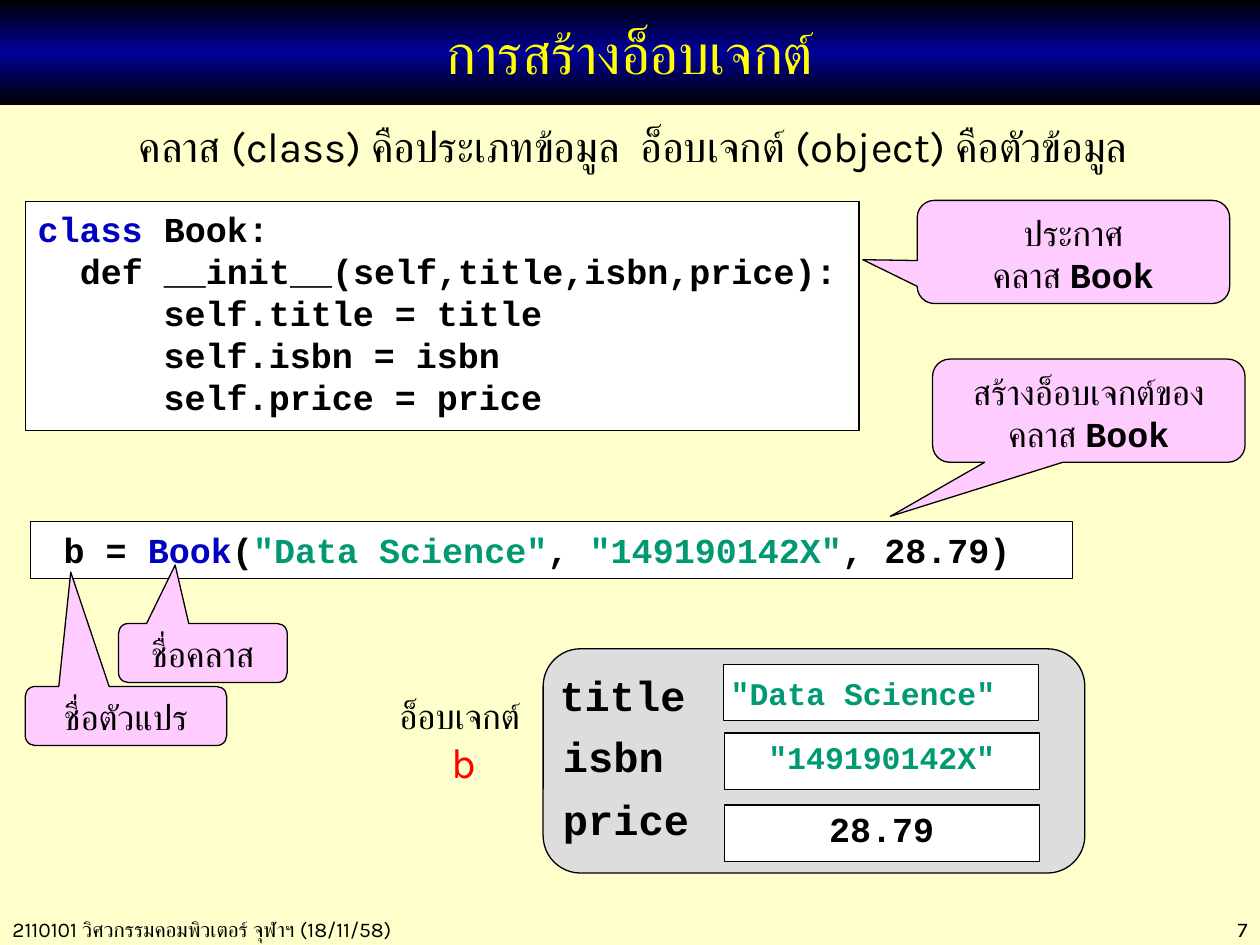
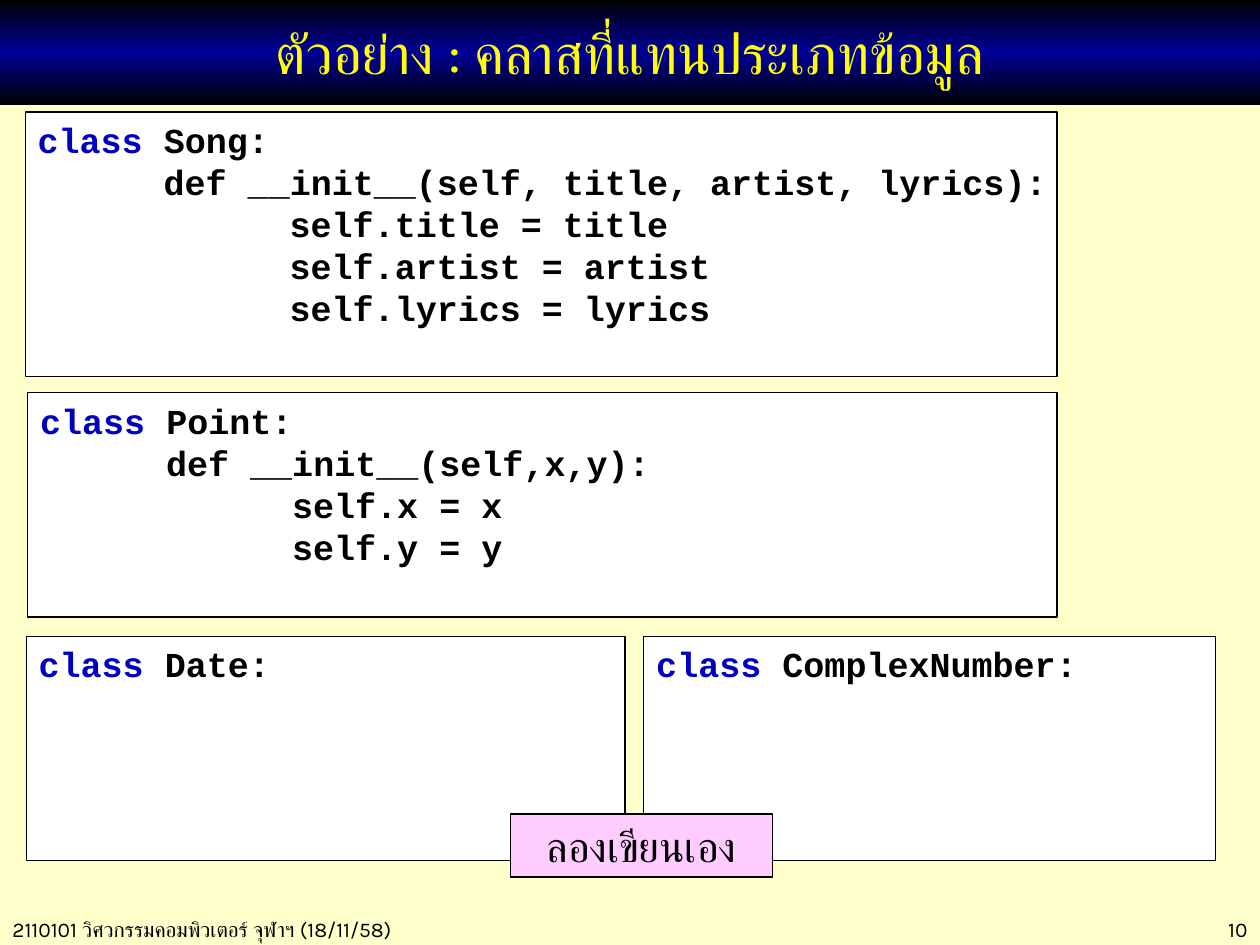
from copy import deepcopy
from dataclasses import dataclass

from pptx import Presentation
from pptx import util as u
from pptx.dml.color import RGBColor
from pptx.enum import shapes, text
from pptx.oxml.ns import qn

Kind = shapes.MSO_SHAPE
Align = text.PP_ALIGN
Anchor = text.MSO_ANCHOR


@dataclass(frozen=True)
class Theme:
    """Colours, fonts and type sizes of the deck."""
    paper: str = "FFFFCC"
    white: str = "FFFFFF"
    ink: str = "000000"
    navy: str = "000099"
    gold: str = "FFFF00"
    pink: str = "FFCCFF"
    grey: str = "DDDDDD"
    red: str = "FF0000"
    key: str = "0000C0"
    quote: str = "009973"
    sans: str = "Karla"
    mono: str = "Courier New"
    head: int = 32
    lead: int = 24
    body: int = 20
    value: int = 18
    foot: int = 12


T = Theme()
FOOT = "2110101 วิศวกรรมคอมพิวเตอร์ จุฬาฯ (18/11/58)"
KEY = {"color": T.key}
QUOTE = {"color": T.quote}
BOLD = {"bold": True}


def rgb(code):
    """Turn a hex code into a colour."""
    return RGBColor.from_string(code)


def write(shape, lines, font=T.mono, size=T.body, color=T.ink, bold=False,
          align=Align.LEFT, anchor=Anchor.TOP, pad=(0.25, 0.13, 0.25, 0.13),
          space=None, dents=()):
    """Fill a shape with lines; a line is a string or a list of runs,
    and a run is a string or a pair of string and format."""
    frame = shape.text_frame
    frame.word_wrap = True
    frame.vertical_anchor = anchor
    (frame.margin_left, frame.margin_top,
     frame.margin_right, frame.margin_bottom) = map(u.Cm, pad)
    for i, line in enumerate(lines):
        para = frame.paragraphs[0] if i == 0 else frame.add_paragraph()
        para.alignment = align
        if space:
            para.line_spacing = space
        if dents:
            props = para._p.get_or_add_pPr()
            props.set("marL", str(int(u.Cm(dents[i]))))
            props.set("indent", "0")
        for part in [line] if isinstance(line, str) else line:
            words, own = (part, {}) if isinstance(part, str) else part
            run = para.add_run()
            run.text = words
            look = {"font": font, "size": size, "color": color,
                    "bold": bold, **own}
            run.font.name = look["font"]
            run.font.size = u.Pt(look["size"])
            run.font.bold = look["bold"]
            run.font.color.rgb = rgb(look["color"])


class Deck:
    """Holds the style and the current slide."""

    def __init__(self):
        """Start an empty deck."""
        self.file = Presentation()
        self.file.slide_width = u.Cm(25.4)
        self.file.slide_height = u.Cm(19.05)
        self.slide = None

    def page(self, title, number):
        """Add a slide with its background, footers and title band."""
        self.slide = self.file.slides.add_slide(self.file.slide_layouts[6])
        fill = self.slide.background.fill
        fill.solid()
        fill.fore_color.rgb = rgb(T.paper)
        foot = {"font": T.sans, "size": T.foot}
        self.label((0, 18.34, 9.91, 0.76), [FOOT], **foot)
        self.label((21.89, 18.34, 3.51, 0.76), [str(number)],
                   align=Align.RIGHT, **foot)
        self.band(title)

    def band(self, title):
        """Draw the title on a black and navy gradient."""
        band = self.shape((0, 0, 25.4, 2.11), T.navy, edge=False)
        band.fill.gradient()
        band.fill.gradient_angle = 90
        stops = band._element.spPr.find(".//" + qn("a:gsLst"))
        stops.append(deepcopy(stops[0]))
        tones = (T.ink, T.navy, T.ink)
        for i, (stop, tone) in enumerate(zip(band.fill.gradient_stops, tones)):
            stop.position = i / 2
            stop.color.rgb = rgb(tone)
        write(band, [title], font=T.sans, size=T.head, color=T.gold,
              align=Align.CENTER, anchor=Anchor.MIDDLE)

    def shape(self, box, fill, kind=Kind.RECTANGLE, adj=(), edge=True):
        """Draw a filled preset shape, with a thin outline or none."""
        form = self.slide.shapes.add_shape(kind, *map(u.Cm, box))
        form.shadow.inherit = False
        for i, value in enumerate(adj):
            form.adjustments[i] = value
        form.fill.solid()
        form.fill.fore_color.rgb = rgb(fill)
        if edge:
            form.line.color.rgb = rgb(T.ink)
            form.line.width = u.Pt(0.75)
        else:
            form.line.fill.background()
        return form

    def label(self, box, lines, **look):
        """Place a plain text box."""
        write(self.slide.shapes.add_textbox(*map(u.Cm, box)), lines, **look)

    def code(self, box, *rows):
        """Draw a white code panel; each row is an indent and its runs."""
        dents, lines = zip(*rows)
        write(self.shape(box, T.white), lines, bold=True, dents=dents,
              pad=(0.25, 0.13, 0, 0.13))

    def callout(self, box, tip, *lines):
        """Draw a pink speech bubble with its tip at a relative point."""
        form = self.shape(box, T.pink, Kind.ROUNDED_RECTANGULAR_CALLOUT,
                          (*tip, 0.167))
        write(form, lines, align=Align.CENTER)

    def field(self, left, top, value, **look):
        """Draw a white box that holds one attribute value."""
        form = self.shape((left, top, 6.35, 1.14), T.white)
        write(form, [value], **{"bold": True, "anchor": Anchor.MIDDLE,
                                "pad": (0, 0.1, 0, 0.1), **look})


def create(deck):
    """Build the slide on creating objects."""
    deck.page("การสร้างอ็อบเจกต์", 7)
    deck.code((0.61, 10.52, 21.01, 1.14),
              (0, [" b = ", ("Book", KEY), "(", ('"Data Science"', QUOTE),
                   ", ", ('"149190142X"', QUOTE), ", 28.79)"]))
    deck.callout((2.39, 12.57, 3.4, 1.19), (-0.164, -1.491), "ชื่อคลาส")
    deck.callout((0.51, 13.84, 4.06, 1.19), (-0.274, -2.439), "ชื่อตัวแปร")
    deck.callout((18.8, 7.24, 6.3, 2.08), (-0.635, 1.024),
                 ["สร้างอ็อบเจกต์ของคลาส ", ("Book", BOLD)])
    deck.label((1.45, 2.29, 22.63, 1.3),
               ["คลาส (class) คือประเภทข้อมูล  อ็อบเจกต์ (object) คือตัวข้อมูล"],
               font=T.sans, size=T.lead, align=Align.CENTER)
    deck.code((0.51, 4.06, 16.81, 4.62),
              (0, [("class", KEY), " Book:"]),
              (0.85, "def __init__(self,title,isbn,price):"),
              *[(2.54, f"self.{name} = {name}")
                for name in ("title", "isbn", "price")])
    deck.callout((18.49, 4.04, 6.3, 2.08), (-0.674, 0.075),
                 "ประกาศ", ["คลาส ", ("Book", BOLD)])

    deck.shape((10.95, 13.08, 10.92, 4.52), T.grey,
               Kind.ROUNDED_RECTANGLE, (0.167,))
    for left, top, name in ((11.28, 13.49, "title"), (11.35, 14.73, "isbn"),
                            (11.35, 16, "price")):
        deck.label((left, top, 3.2, 1.4), [name], size=T.lead, bold=True,
                   pad=(0, 0, 0, 0))
    deck.field(14.58, 13.39, '"Data Science"', size=T.value, color=T.quote,
               pad=(0.15, 0.13, 0, 0.13))
    middle = {"align": Align.CENTER, "space": 0.7}
    deck.field(14.6, 14.78, '"149190142X"', size=T.value, color=T.quote,
               **middle)
    deck.field(14.6, 16.23, "28.79", **middle)
    deck.label((7.59, 13.87, 3.53, 2.13),
               ["อ็อบเจกต์ ",
                [("b", {"font": T.sans, "size": T.lead, "color": T.red})]],
               align=Align.CENTER)


def sample(deck):
    """Build the slide of example classes."""
    deck.page("ตัวอย่าง : คลาสที่แทนประเภทข้อมูล", 10)
    tab = 2.54
    for box, name, args, names in (
            ((0.56, 7.92, 20.75, 4.52), "Point", "x,y", ("x", "y")),
            ((0.51, 2.26, 20.8, 5.33), "Song", " title, artist, lyrics",
             ("title", "artist", "lyrics")),
            ((0.53, 12.83, 12.07, 4.52), "Date", "", ()),
            ((12.98, 12.83, 11.53, 4.52), "ComplexNumber", "", ())):
        rows = [(0, [("class", KEY), f" {name}:"])]
        if names:
            rows.append((tab, f"def __init__(self,{args}):"))
        rows += [(2 * tab, f"self.{item} = {item}") for item in names]
        deck.code(box, *rows)
    note = deck.shape((10.29, 16.41, 5.28, 1.27), T.pink)
    write(note, ["ลองเขียนเอง"], size=T.lead, align=Align.CENTER)


def main():
    """Build and save the deck."""
    deck = Deck()
    create(deck)
    sample(deck)
    deck.file.save("out.pptx")


main()
